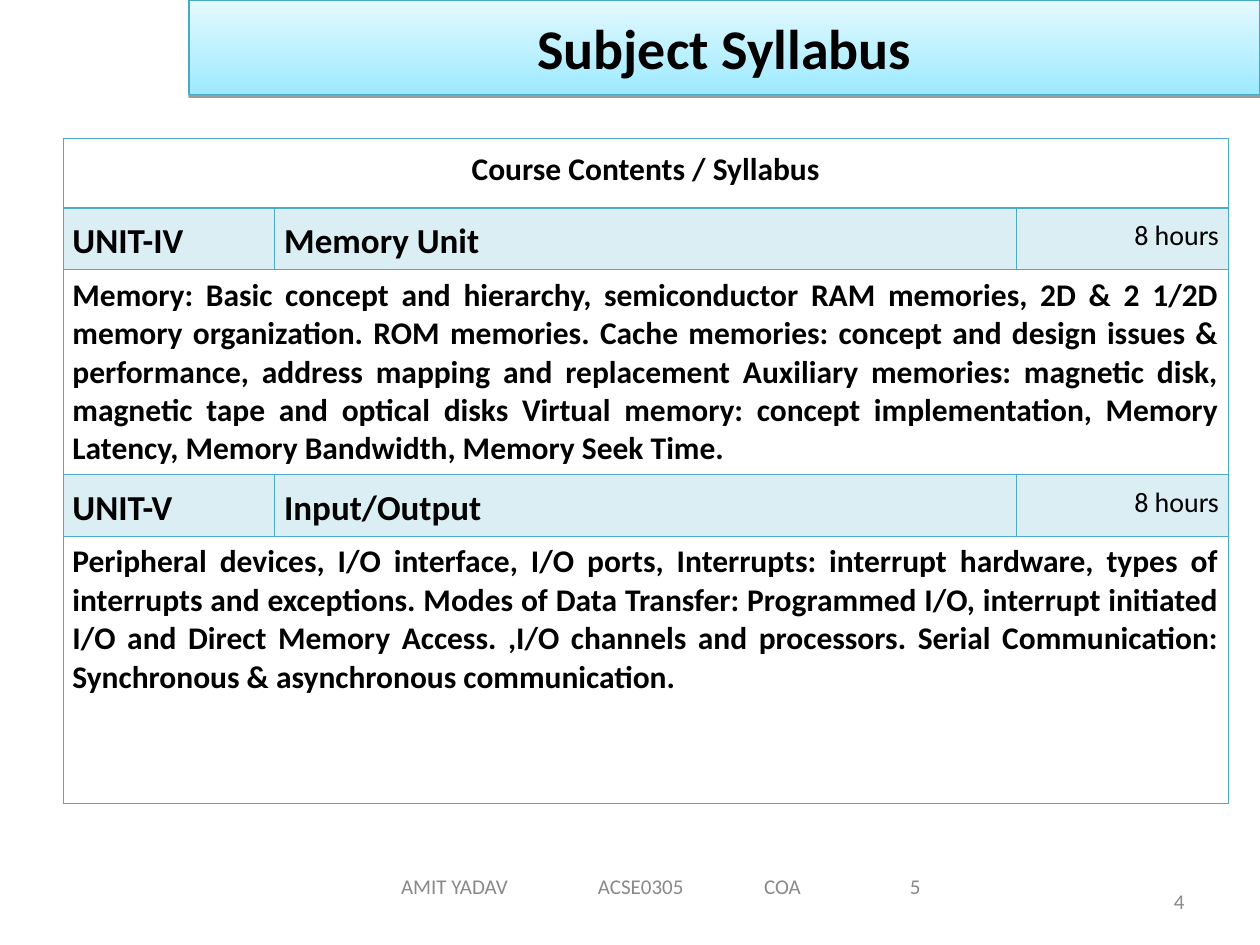
from lxml.etree import SubElement
from pptx import Presentation
from pptx.dml.color import RGBColor
from pptx.enum.text import MSO_ANCHOR, PP_ALIGN
from pptx.oxml import parse_xml
from pptx.oxml.ns import nsdecls, qn
from pptx.util import Pt

TEAL = "4BACC6"
GREY = "898989"


def rgb(code):
    return RGBColor.from_string(code)


def style(para, size, color="000000", bold=False, align=PP_ALIGN.LEFT):
    para.alignment = align
    for run in para.runs:
        font = run.font
        font.name, font.size, font.bold = "Calibri", Pt(size), bold
        font.color.rgb = rgb(color)


deck = Presentation()
deck.slide_width, deck.slide_height = Pt(720), Pt(540)
slide = deck.slides.add_slide(deck.slide_layouts[5])

# Title band
title = slide.shapes.title
title.left, title.top, title.width, title.height = Pt(108), Pt(0), Pt(612), Pt(54)
title.fill.gradient()
title.fill.gradient_angle = 90
for stop, color, place in zip(title.fill.gradient_stops, ("9EEAFF", "E4F9FF"), (0, 1)):
    stop.color.rgb = rgb(color)
    stop.position = place
title.line.color.rgb = rgb("46AAC5")
title.line.width = Pt(0.75)
title._element.spPr.append(parse_xml(
    f'<a:effectLst {nsdecls("a")}><a:outerShdw blurRad="0" dist="{Pt(1.6)}" dir="5400000" '
    'rotWithShape="0"><a:srgbClr val="000000"><a:alpha val="38000"/></a:srgbClr>'
    '</a:outerShdw></a:effectLst>'))
title.text_frame.text = "Subject Syllabus"
title.text_frame.vertical_anchor = MSO_ANCHOR.MIDDLE
style(title.text_frame.paragraphs[0], 32, bold=True, align=PP_ALIGN.CENTER)

# Syllabus table
memory = (
    "Memory: Basic concept and hierarchy, semiconductor RAM memories, 2D & 2 1/2D memory "
    "organization. ROM memories. Cache memories: concept and design issues & performance, "
    "address mapping and replacement Auxiliary memories: magnetic disk, magnetic tape and "
    "optical disks Virtual memory: concept implementation, Memory Latency, Memory Bandwidth, "
    "Memory Seek Time.")
devices = (
    "Peripheral devices, I/O interface, I/O ports, Interrupts: interrupt hardware, types of "
    "interrupts and exceptions. Modes of Data Transfer: Programmed I/O, interrupt initiated "
    "I/O and Direct Memory Access. ,I/O channels and processors. Serial Communication: "
    "Synchronous & asynchronous communication.")
rows = [
    ["Course Contents / Syllabus"],
    ["UNIT-IV", "Memory Unit", "8 hours"],
    [memory],
    ["UNIT-V", "Input/Output", "8 hours"],
    [devices],
]
widths = (121, 424, 121)
heights = (39.6, 28.8, 110.2, 28.8, 152.6)

frame = slide.shapes.add_table(5, 3, Pt(36), Pt(79.2), Pt(666), Pt(360))
table = frame.table
table.first_row = table.horz_banding = False
for col, width in zip(table.columns, widths):
    col.width = Pt(width)
for row, height in zip(table.rows, heights):
    row.height = Pt(height)

for r, texts in enumerate(rows):
    unit = len(texts) == 3
    if not unit:
        table.cell(r, 0).merge(table.cell(r, 2))
    for c in range(3):
        cell = table.cell(r, c)
        cell.margin_left = cell.margin_right = Pt(5.4)
        props = cell._tc.get_or_add_tcPr()
        for side in "LRTB":
            thick = (r, side) in ((0, "B"), (1, "T"))
            props.append(parse_xml(
                f'<a:ln{side} {nsdecls("a")} w="{Pt(0.96 if thick else 0.45)}"><a:solidFill>'
                f'<a:srgbClr val="{TEAL}"/></a:solidFill></a:ln{side}>'))
        if unit:
            cell.fill.solid()
            cell.fill.fore_color.rgb = rgb(TEAL)
            tint = props.find(qn("a:solidFill")).find(qn("a:srgbClr"))
            SubElement(tint, qn("a:alpha"), val="20000")
        else:
            cell.fill.background()
    for c, text in enumerate(texts):
        cell = table.cell(r, c)
        cell.text_frame.text = text
        para = cell.text_frame.paragraphs[0]
        if unit:
            align = (PP_ALIGN.LEFT, PP_ALIGN.JUSTIFY, PP_ALIGN.RIGHT)[c]
            style(para, 16 if c == 2 else 20, bold=c < 2, align=align)
            if c == 1:
                para.space_after = Pt(10)
        else:
            style(para, 18, bold=True, align=PP_ALIGN.JUSTIFY if r else PP_ALIGN.CENTER)
        if unit or r == 0:
            para.line_spacing = 1.15

# Footer and slide number
notes = [
    ("AMIT YADAV\tACSE0305\tCOA\t5", 180, 491.8, 396, PP_ALIGN.LEFT),
    ("4", 516.2, 500.4, 167.8, PP_ALIGN.RIGHT),
]
for text, left, top, width, align in notes:
    box = slide.shapes.add_textbox(Pt(left), Pt(top), Pt(width), Pt(28.8))
    body = box.text_frame
    body.word_wrap = True
    body.vertical_anchor = MSO_ANCHOR.MIDDLE
    body.text = text
    para = body.paragraphs[0]
    if "\t" in text:
        body.margin_left = Pt(49.2)
        tabs = SubElement(para._p.get_or_add_pPr(), qn("a:tabLst"))
        for stop in (112.5, 207.4, 290.8):
            SubElement(tabs, qn("a:tab"), pos=str(Pt(stop)), algn="l")
    style(para, 12, GREY, align=align)

deck.save("out.pptx")
